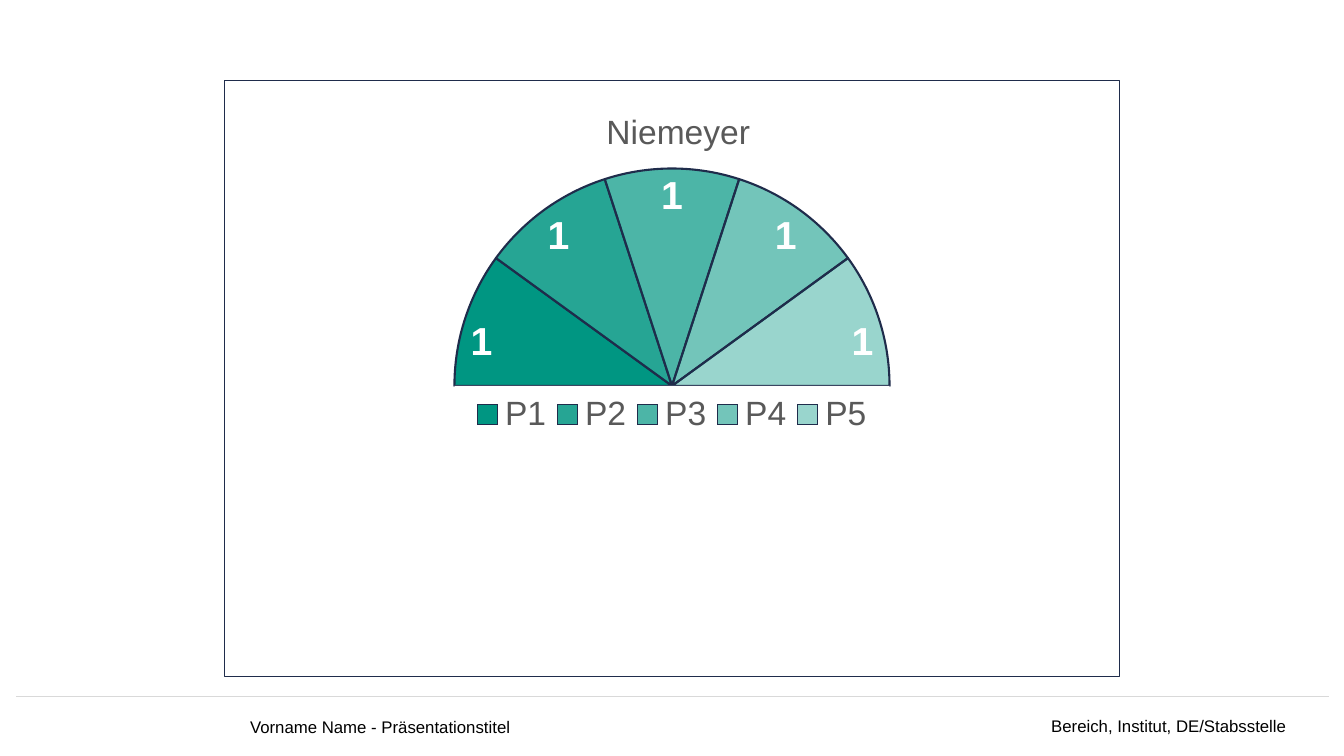
from pptx import Presentation
from pptx.chart.data import CategoryChartData
from pptx.dml.color import RGBColor
from pptx.enum.chart import XL_CHART_TYPE, XL_LABEL_POSITION, XL_LEGEND_POSITION
from pptx.enum.shapes import MSO_CONNECTOR
from pptx.enum.text import MSO_ANCHOR, PP_ALIGN
from pptx.oxml import parse_xml
from pptx.oxml.ns import nsdecls
from pptx.util import Inches, Pt

WIDTH, HEIGHT = 13.33, 7.5
FONT = "Arial"
GREEN, NAVY, GRAY = "009682", "1F2C4B", "595959"

CHART_TITLE = "Niemeyer"
SEATS = {"P1": 1, "P2": 1, "P3": 1, "P4": 1, "P5": 1}
HIDDEN_HALF = "P6"
OPACITY_STEP = 15  # percent lost from one slice to the next

CHART_BOX = (2.22, 0.79, 8.89, 5.93)
# Shares of the chart box: x, y and, where sized, width and height
TITLE_PLACE = (0.42, 0.04)
PIE_PLACE = (0.257, 0.148, 0.486, 0.729)
LEGEND_PLACE = (0.27, 0.52, 0.46, 0.08)

FOOTER_LINE = (0.16, 6.91, 13.18, 6.91)
FOOTERS = [
    ("Vorname Name - Präsentationstitel", (2.48, 6.92, 5.37, 0.58), PP_ALIGN.LEFT),
    ("Bereich, Institut, DE/Stabsstelle", (8.03, 6.91, 4.73, 0.59), PP_ALIGN.RIGHT),
]


def color(value):
    return RGBColor.from_string(value)


def inches(values):
    return [Inches(value) for value in values]


def style_font(font, size, value, bold=False):
    for name, setting in {"name": FONT, "size": Pt(size), "bold": bold}.items():
        setattr(font, name, setting)
    font.color.rgb = color(value)


def chart_xml(tag, content):
    return parse_xml(f"<c:{tag} {nsdecls('c', 'a')}>{content}</c:{tag}>")


def place_before(sibling, shares):
    """Give the parent of sibling a manual layout, in shares of the chart."""
    for layout in sibling.getparent().xpath("c:layout"):
        layout.getparent().remove(layout)
    modes = '<c:xMode val="edge"/><c:yMode val="edge"/>'
    lengths = "".join(f'<c:{key} val="{share}"/>' for key, share in zip("xywh", shares))
    target = '<c:layoutTarget val="inner"/>' if sibling.tag.endswith("pieChart") else ""
    sibling.addprevious(
        chart_xml("layout", f"<c:manualLayout>{target}{modes}{lengths}</c:manualLayout>"))


def add_footer(slide):
    for text, box, alignment in FOOTERS:
        frame = slide.shapes.add_textbox(*inches(box)).text_frame
        frame.word_wrap = True
        frame.vertical_anchor = MSO_ANCHOR.MIDDLE
        for side in ("left", "right", "top", "bottom"):
            setattr(frame, f"margin_{side}", 0)
        paragraph = frame.paragraphs[0]
        paragraph.text = text
        paragraph.alignment = alignment
        style_font(paragraph.font, 12, "000000")
    rule = slide.shapes.add_connector(MSO_CONNECTOR.STRAIGHT, *inches(FOOTER_LINE))
    rule.line.color.rgb = color("D9D9D9")
    rule.line.width = Pt(1)
    rule._element.spPr.append(parse_xml(f"<a:effectLst {nsdecls('a')}/>"))


def style_slices(series):
    for index in range(len(SEATS)):
        slice_format = series.points[index].format
        slice_format.fill.solid()
        slice_format.fill.fore_color.rgb = color(GREEN)
        slice_format.line.color.rgb = color(NAVY)
        slice_format.line.width = Pt(1.5)
    fills = series._element.xpath("c:dPt/c:spPr/a:solidFill/a:srgbClr")
    for index, fill in enumerate(fills[1:], start=1):
        opacity = (100 - OPACITY_STEP * index) * 1000
        fill.append(parse_xml(f'<a:alpha {nsdecls("a")} val="{opacity}"/>'))
    lower_half = series.points[len(SEATS)].format
    lower_half.fill.solid()
    lower_half.fill.fore_color.rgb = color("FFFFFF")
    lower_half.line.fill.background()


def add_half_pie(slide):
    data = CategoryChartData()
    data.categories = [*SEATS, HIDDEN_HALF]
    data.add_series(CHART_TITLE, [*SEATS.values(), sum(SEATS.values())])
    chart = slide.shapes.add_chart(XL_CHART_TYPE.PIE, *inches(CHART_BOX), data).chart
    style_font(chart.font, 10, "000000")
    plot = chart.plots[0]
    plot.vary_by_categories = True
    series = plot.series[0]
    style_slices(series)

    labels = series.data_labels
    labels.show_value = True
    labels.position = XL_LABEL_POSITION.INSIDE_END
    style_font(labels.font, 28, "FFFFFF", bold=True)
    hidden = f'<c:idx val="{len(SEATS)}"/><c:delete val="1"/>'
    labels._element.insert(0, chart_xml("dLbl", hidden))

    chart.has_title = True
    title = chart.chart_title
    title.text_frame.text = CHART_TITLE
    style_font(title.text_frame.paragraphs[0].runs[0].font, 24, GRAY)

    chart.has_legend = True
    legend = chart.legend
    legend.position = XL_LEGEND_POSITION.BOTTOM
    legend.include_in_layout = False
    style_font(legend.font, 24, GRAY)
    legend._element.xpath("c:legendPos")[0].addnext(chart_xml("legendEntry", hidden))

    pie = chart._chartSpace.xpath(".//c:pieChart")[0]
    for angle in pie.xpath("c:firstSliceAng"):
        pie.remove(angle)
    pie.append(parse_xml(f'<c:firstSliceAng {nsdecls("c")} val="270"/>'))
    place_before(pie, PIE_PLACE)
    place_before(title._element.xpath("c:overlay")[0], TITLE_PLACE)
    place_before(legend._element.xpath("c:overlay")[0], LEGEND_PLACE)

    border = (f'<a:noFill/><a:ln w="{Pt(0.75)}"><a:solidFill>'
              f'<a:srgbClr val="{NAVY}"/></a:solidFill></a:ln>')
    chart._chartSpace.xpath("c:chart")[0].addnext(chart_xml("spPr", border))


def main():
    presentation = Presentation()
    presentation.slide_width, presentation.slide_height = inches((WIDTH, HEIGHT))
    slide = presentation.slides.add_slide(presentation.slide_layouts[6])
    add_footer(slide)
    add_half_pie(slide)
    presentation.save("out.pptx")


if __name__ == "__main__":
    main()
